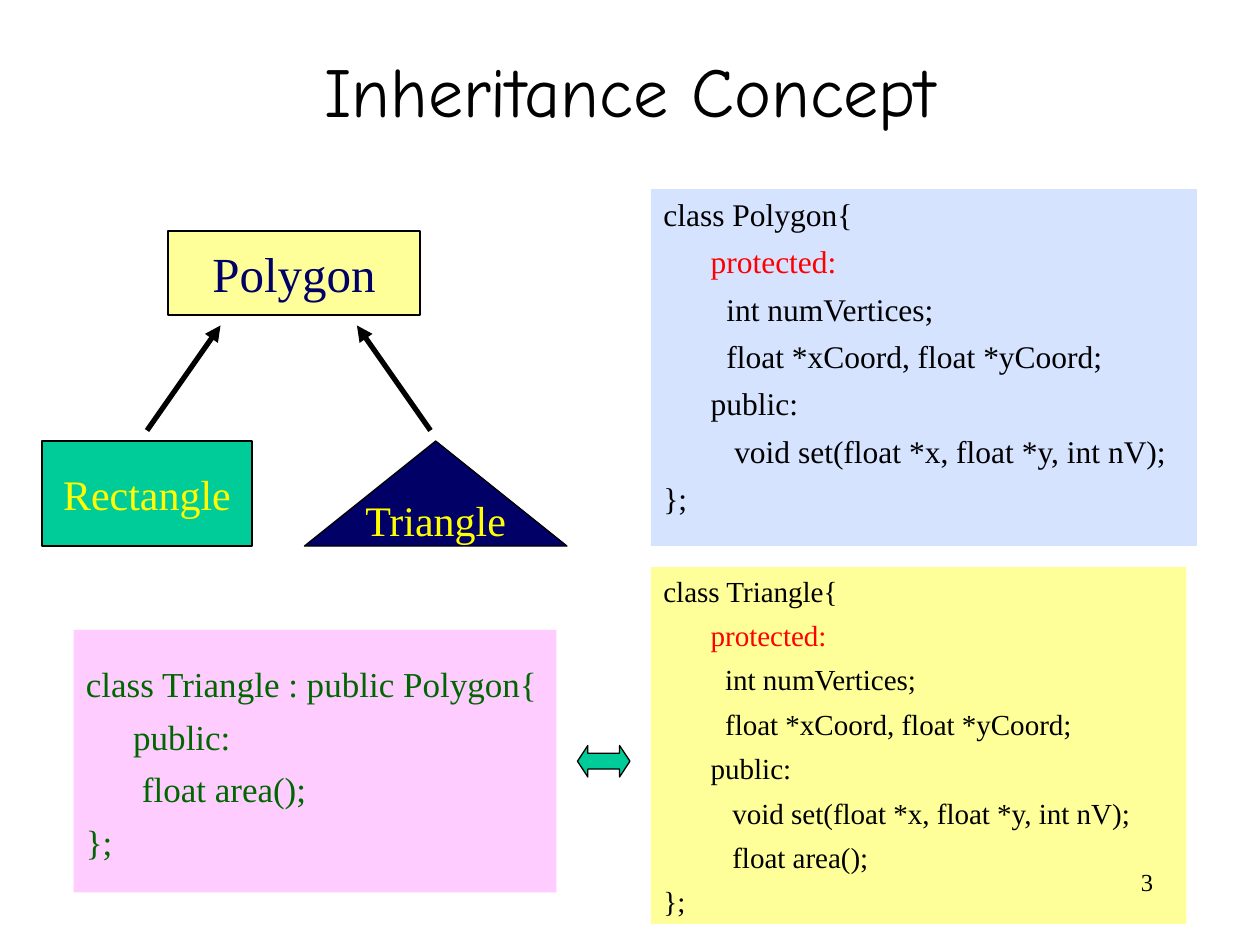
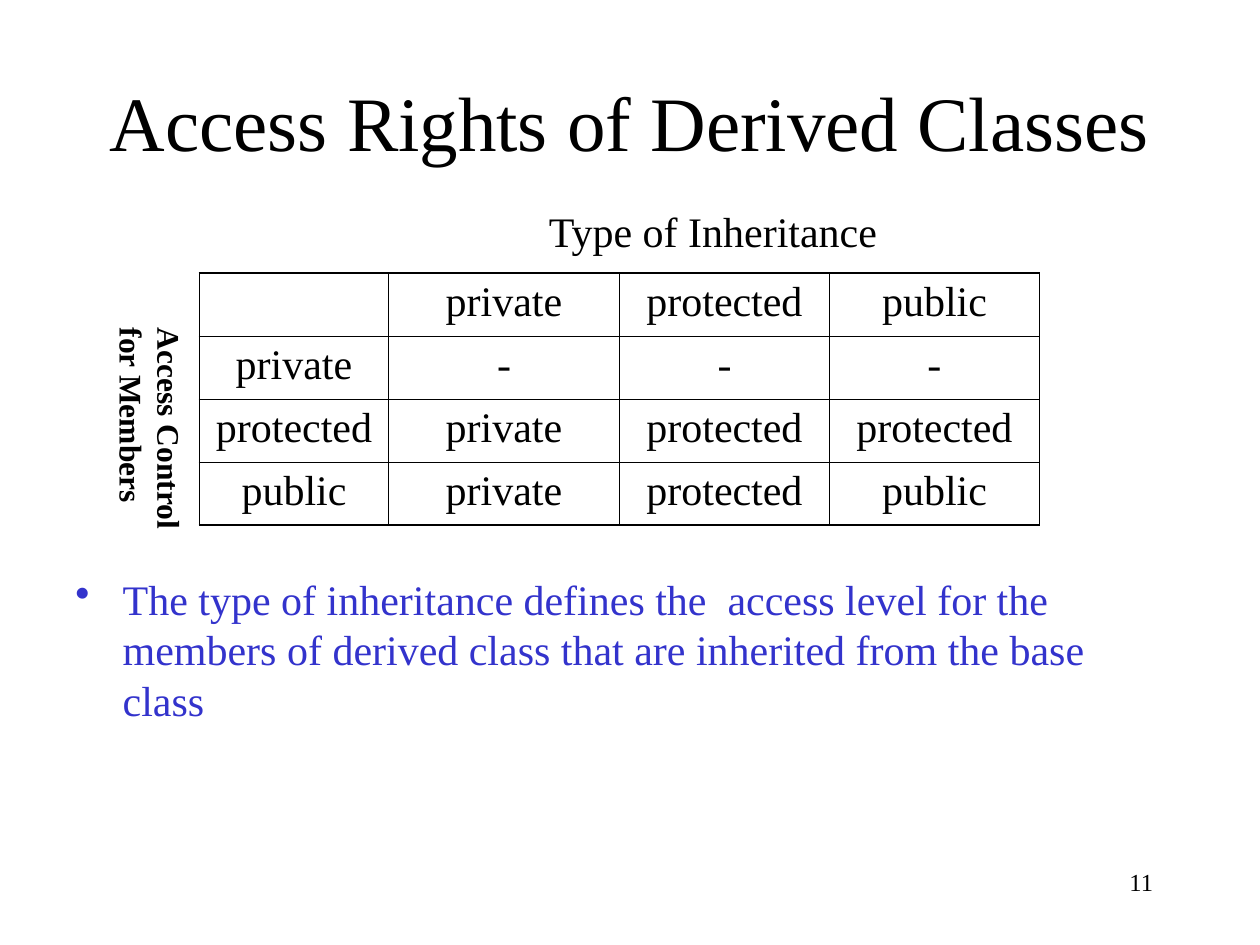
"""Two slides on class inheritance: the concept and the access rights."""
from lxml import etree
from pptx import Presentation
from pptx.dml.color import RGBColor
from pptx.enum import shapes, text
from pptx.oxml import ns
from pptx.util import Pt

BLACK = RGBColor(0, 0, 0)
RED = RGBColor(0xFF, 0, 0)
GREEN = RGBColor(0, 0x66, 0)
TEAL = RGBColor(0, 0xCC, 0x99)
NAVY = RGBColor(0, 0, 0x66)
BLUE = RGBColor(0x33, 0x33, 0xCC)
SKY = RGBColor(0xD5, 0xE3, 0xFF)
PINK = RGBColor(0xFF, 0xCC, 0xFF)
CREAM = RGBColor(0xFF, 0xFF, 0x99)
YELLOW = RGBColor(0xFF, 0xFF, 0)
SERIF, COMIC = "Times New Roman", "Comic Neue"
KIND = shapes.MSO_SHAPE
ALIGN = text.PP_ALIGN
ANCHOR = text.MSO_ANCHOR
INDENT = 27

NODES = [
    ("Rectangle", KIND.RECTANGLE, (24, 252, 120, 60), TEAL, YELLOW, 24),
    ("Triangle", KIND.ISOSCELES_TRIANGLE, (174, 252, 150, 60), NAVY, YELLOW, 24),
    ("Polygon", KIND.RECTANGLE, (96, 132, 144, 48), CREAM, NAVY, 28),
]
ARROWS = [(126, 186, 84, 246), (204, 186, 246, 246)]

FIELDS = [
    (1, "protected:"),
    (1, "  int numVertices;"),
    (1, "  float *xCoord, float *yCoord;"),
    (1, "public:"),
    (1, "   void set(float *x, float *y, int nV);"),
]
BASE = [(0, "class Polygon{"), *FIELDS, (0, "};")]
FULL = [(0, "class Triangle{"), *FIELDS, (1, "   float area();"), (0, "};")]
CHILD = [
    (0, "class Triangle : public Polygon{"),
    (1, "public:"),
    (1, " float area();"),
    (0, "};"),
]
CODES = [
    (BASE, (372, 108, 312, 204), SKY, BLACK, 18, 5.4, 3.6),
    (CHILD, (42, 360, 276, 150), PINK, GREEN, 20, 6, 18.8),
    (FULL, (372, 324, 306, 204), CREAM, BLACK, 16.6, 5.4, 3.6),
]

WIDTHS = [108, 132, 120, 120]
RIGHTS = [
    ["", "private", "protected", "public"],
    ["private", "-", "-", "-"],
    ["protected", "private", "protected", "protected"],
    ["public", "private", "protected", "public"],
]
NOTE = ("The type of inheritance defines the  access level for the members of "
        "derived class that are inherited from the base class")


def pts(box):
    return [Pt(v) for v in box]


def write(para, words, size, color=BLACK, face=SERIF, bold=False):
    run = para.add_run()
    run.text = words
    font = run.font
    font.size, font.name, font.bold = Pt(size), face, bold
    font.color.rgb = color


def indent(para, left, first=0):
    props = para._p.get_or_add_pPr()
    props.set("marL", str(Pt(left)))
    props.set("indent", str(Pt(first)))
    return props


def label(slide, box, lines, size, color=BLACK, align=ALIGN.LEFT, wrap=True, bold=False):
    frame = slide.shapes.add_textbox(*pts(box)).text_frame
    frame.word_wrap = wrap
    for i, line in enumerate(lines):
        para = frame.add_paragraph() if i else frame.paragraphs[0]
        para.alignment = align
        write(para, line, size, color, bold=bold)
    return frame


def start(deck, title, box, size, face, page):
    slide = deck.slides.add_slide(deck.slide_layouts[5])
    head = slide.shapes.title
    head.left, head.top, head.width, head.height = pts(box)
    frame = head.text_frame
    frame.vertical_anchor = ANCHOR.MIDDLE
    frame.auto_size = text.MSO_AUTO_SIZE.NONE
    frame.paragraphs[0].alignment = ALIGN.CENTER
    write(frame.paragraphs[0], title, size, face=face)
    return slide, page


def number(slide, page):
    label(slide, (516, 492, 150, 36), [page], 14, align=ALIGN.RIGHT)


def block(slide, kind, box, fill, edge=True):
    shape = slide.shapes.add_shape(kind, *pts(box))
    shape.shadow.inherit = False
    shape.fill.solid()
    shape.fill.fore_color.rgb = fill
    if edge:
        shape.line.color.rgb = BLACK
        shape.line.width = Pt(0.75)
    else:
        shape.line.fill.background()
    return shape


def node(slide, name, kind, box, fill, color, size):
    frame = block(slide, kind, box, fill).text_frame
    frame.word_wrap = False
    frame.vertical_anchor = ANCHOR.MIDDLE
    frame.paragraphs[0].alignment = ALIGN.CENTER
    write(frame.paragraphs[0], name, size, color)


def arrow(slide, ends):
    line = slide.shapes.add_connector(shapes.MSO_CONNECTOR.STRAIGHT, *pts(ends))
    line.line.color.rgb = BLACK
    line.line.width = Pt(3)
    etree.SubElement(line.line._get_or_add_ln(), ns.qn("a:headEnd"), type="triangle")
    etree.SubElement(line._element.spPr, ns.qn("a:effectLst"))


def code(slide, lines, box, fill, color, size, gap, top):
    frame = block(slide, KIND.RECTANGLE, box, fill, False).text_frame
    frame.word_wrap = True
    frame.vertical_anchor = ANCHOR.TOP
    frame.margin_top = Pt(top)
    for i, (level, line) in enumerate(lines):
        para = frame.add_paragraph() if i else frame.paragraphs[0]
        para.alignment = ALIGN.LEFT
        indent(para, level * INDENT)
        if i:
            para.space_before = Pt(gap)
        write(para, line, size, RED if line == "protected:" else color)


def border(cell, outer):
    props = cell._tc.get_or_add_tcPr()
    for i, side in enumerate("LRTB"):
        width = 1.08 if side in outer else 0.45
        line = etree.Element(ns.qn(f"a:ln{side}"), w=str(Pt(width)))
        fill = etree.SubElement(line, ns.qn("a:solidFill"))
        etree.SubElement(fill, ns.qn("a:srgbClr"), val=str(BLACK))
        props.insert(i, line)


def grid(slide):
    rows, cols = len(RIGHTS), len(WIDTHS)
    box = (114, 156, sum(WIDTHS), 36 * rows)
    table = slide.shapes.add_table(rows, cols, *pts(box)).table
    table.first_row = table.horz_banding = False
    for col, width in zip(table.columns, WIDTHS):
        col.width = Pt(width)
    for r, row in enumerate(RIGHTS):
        for c, word in enumerate(row):
            cell = table.cell(r, c)
            cell.fill.background()
            edges = {"L": c == 0, "R": c == cols - 1, "T": r == 0, "B": r == rows - 1}
            border(cell, [side for side, on in edges.items() if on])
            if word:
                para = cell.text_frame.paragraphs[0]
                para.alignment = ALIGN.CENTER
                write(para, word, 24)


def concept(deck):
    slide, page = start(deck, "Inheritance Concept", (54, 24, 612, 54), 40, COMIC, "3")
    for item in NODES:
        node(slide, *item)
    for ends in ARROWS:
        arrow(slide, ends)
    for item in CODES:
        code(slide, *item)
    both = block(slide, KIND.LEFT_RIGHT_ARROW, (330, 426, 30, 18), TEAL)
    both.adjustments[0], both.adjustments[1] = 0.5, 0.33
    number(slide, page)


def access(deck):
    slide, page = start(deck, "Access Rights of Derived Classes",
                        (54, 30, 612, 78), 44, SERIF, "11")
    grid(slide)
    label(slide, (306.5, 114, 204, 36), ["Type of Inheritance"], 24, wrap=False)
    side = label(slide, (54, 180, 57.6, 123), ["Access Control", "for Members"],
                 18, wrap=False, bold=True)
    side.margin_left = side.margin_right = Pt(3.6)
    side.margin_top = side.margin_bottom = Pt(7.2)
    side.auto_size = text.MSO_AUTO_SIZE.SHAPE_TO_FIT_TEXT
    side._txBody.bodyPr.set("vert", "eaVert")
    note = label(slide, (36, 324, 630, 198), [NOTE], 24, BLUE)
    props = indent(note.paragraphs[0], INDENT, -INDENT)
    tint = etree.SubElement(props, ns.qn("a:buClr"))
    etree.SubElement(tint, ns.qn("a:srgbClr"), val=str(BLUE))
    etree.SubElement(props, ns.qn("a:buChar"), char="•")
    number(slide, page)


def main():
    deck = Presentation()
    deck.slide_width, deck.slide_height = Pt(720), Pt(540)
    concept(deck)
    access(deck)
    deck.save("out.pptx")


if __name__ == "__main__":
    main()
